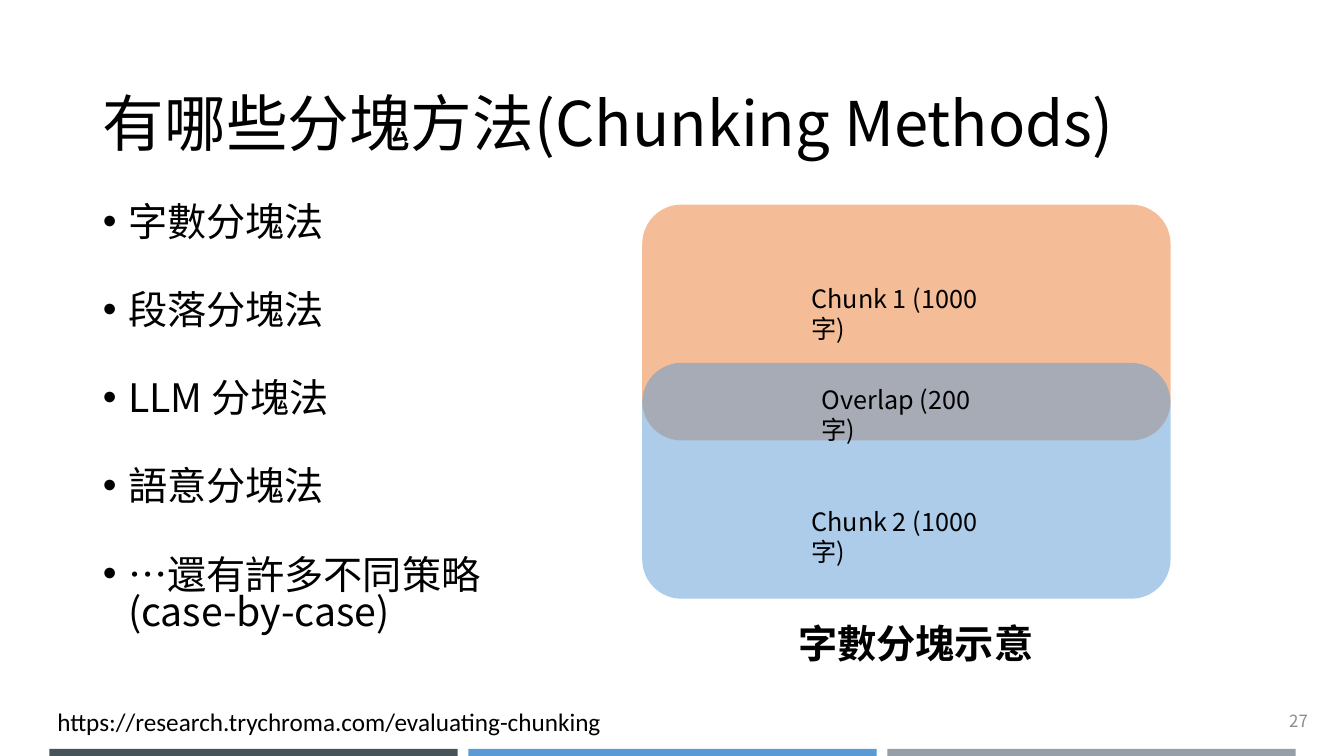
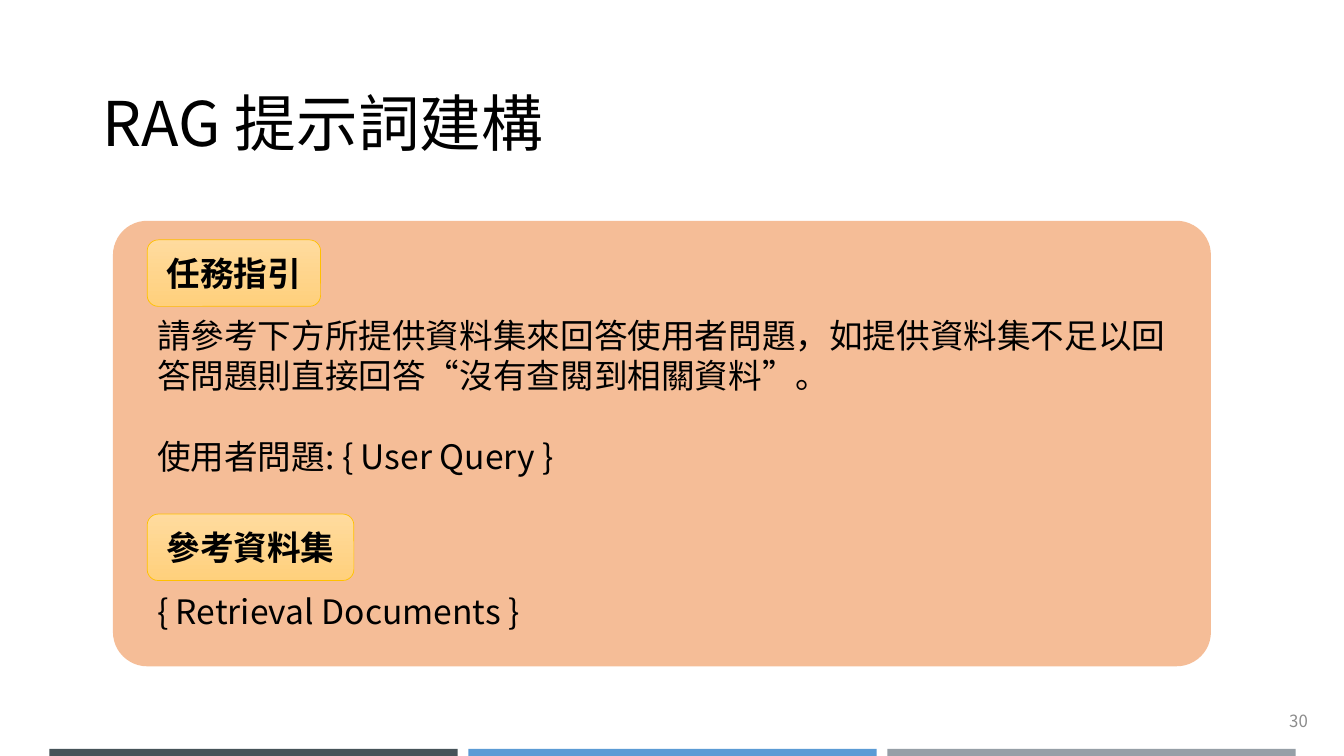
"""Build two slides about chunking methods and RAG prompt construction."""
from lxml import etree
from pptx import Presentation
from pptx import util as u
from pptx.dml.color import RGBColor
from pptx.enum import shapes, text
from pptx.oxml import ns

FONT = "Noto Sans CJK SC"
BLACK = RGBColor(0x00, 0x00, 0x00)
GRAY = RGBColor(0x8C, 0x8C, 0x8C)
SLATE = RGBColor(0x46, 0x53, 0x59)
BLUE = RGBColor(0x5B, 0x9B, 0xD5)
SILVER = RGBColor(0x96, 0x9F, 0xA7)
ORANGE = RGBColor(0xED, 0x7D, 0x31)
GOLD = RGBColor(0xFF, 0xC0, 0x00)
GOLD_TOP = RGBColor(0xFF, 0xDB, 0x9E)
GOLD_BOTTOM = RGBColor(0xFF, 0xD0, 0x7C)

TITLE_AND_CONTENT, TITLE_ONLY = 1, 5


def place(shape, left, top, width, height):
    """Move and size a shape, in inches."""
    shape.left, shape.top = u.Inches(left), u.Inches(top)
    shape.width, shape.height = u.Inches(width), u.Inches(height)


def add_run(paragraph, words, size, color=BLACK, bold=False, font=FONT):
    """Append one formatted run to a paragraph."""
    run = paragraph.add_run()
    run.text = words
    run.font.size = u.Pt(size)
    run.font.bold = bold
    run.font.color.rgb = color
    run.font.name = font
    east_asian = etree.SubElement(run._r.get_or_add_rPr(), ns.qn("a:ea"))
    east_asian.set("typeface", font)


def add_bullet(paragraph, indent=0.25):
    """Give a paragraph a round bullet and a hanging indent."""
    properties = paragraph._p.get_or_add_pPr()
    properties.set("marL", str(u.Inches(indent)))
    properties.set("indent", str(-u.Inches(indent)))
    etree.SubElement(properties, ns.qn("a:buFont")).set("typeface", "Arial")
    etree.SubElement(properties, ns.qn("a:buChar")).set("char", "•")


def add_text(slide, box, lines, size, gap=0, align=text.PP_ALIGN.LEFT,
             anchor=text.MSO_ANCHOR.TOP, **style):
    """Add a text box with one paragraph per line, separated by a gap in points."""
    frame = slide.shapes.add_textbox(*map(u.Inches, box)).text_frame
    frame.word_wrap = True
    frame.vertical_anchor = anchor
    for index, words in enumerate(lines):
        paragraph = frame.add_paragraph() if index else frame.paragraphs[0]
        paragraph.alignment = align
        if index:
            paragraph.space_before = u.Pt(gap)
        add_run(paragraph, words, size, **style)


def add_plain_shape(slide, kind, box):
    """Add a preset shape without line or shadow."""
    shape = slide.shapes.add_shape(kind, *map(u.Inches, box))
    shape.shadow.inherit = False
    shape.line.fill.background()
    return shape


def add_panel(slide, box, color, corner=0.1667):
    """Add a half-transparent rounded panel."""
    panel = add_plain_shape(slide, shapes.MSO_SHAPE.ROUNDED_RECTANGLE, box)
    panel.adjustments[0] = corner
    panel.fill.solid()
    panel.fill.fore_color.rgb = color
    color_element = panel.element.spPr.find(".//" + ns.qn("a:srgbClr"))
    etree.SubElement(color_element, ns.qn("a:alpha")).set("val", "50000")


def add_tag(slide, box, words):
    """Add a golden rounded heading tag."""
    tag = add_plain_shape(slide, shapes.MSO_SHAPE.ROUNDED_RECTANGLE, box)
    tag.fill.gradient()
    tag.fill.gradient_angle = 270
    for stop, color in zip(tag.fill.gradient_stops, (GOLD_TOP, GOLD_BOTTOM)):
        stop.color.rgb = color
    tag.line.color.rgb = GOLD
    tag.line.width = u.Pt(0.5)
    frame = tag.text_frame
    frame.vertical_anchor = text.MSO_ANCHOR.MIDDLE
    frame.paragraphs[0].alignment = text.PP_ALIGN.CENTER
    add_run(frame.paragraphs[0], words, 24, bold=True)


def add_master_bands(presentation, slide):
    """Draw the three bottom bands and move them to the slide master."""
    master_tree = presentation.slide_master.shapes.element
    for index, color in enumerate((SLATE, BLUE, SILVER)):
        box = (0.49 + index * 4.155, 7.43, 4.05, 0.1)
        band = add_plain_shape(slide, shapes.MSO_SHAPE.RECTANGLE, box)
        band.fill.solid()
        band.fill.fore_color.rgb = color
        band.element.nvSpPr.cNvPr.set("id", str(101 + index))
        master_tree.insert(2 + index, band.element)


def add_slide(presentation, layout, title, number):
    """Add a slide with its title and page number."""
    slide = presentation.slides.add_slide(presentation.slide_layouts[layout])
    place(slide.shapes.title, 0.92, 0.67, 11.5, 1.18)
    frame = slide.shapes.title.text_frame
    frame.auto_size = text.MSO_AUTO_SIZE.NONE
    frame.vertical_anchor = text.MSO_ANCHOR.MIDDLE
    paragraph = frame.paragraphs[0]
    paragraph.alignment = text.PP_ALIGN.LEFT
    paragraph.line_spacing = 0.9
    add_run(paragraph, title, 44)
    add_text(slide, (10.07, 6.95, 3, 0.4), [number], 12, color=GRAY,
             align=text.PP_ALIGN.RIGHT, anchor=text.MSO_ANCHOR.MIDDLE)
    return slide


def fill_body(slide, items):
    """Fill the body placeholder with a bulleted list."""
    body = slide.placeholders[1]
    place(body, 0.92, 2, 4.71, 4.76)
    frame = body.text_frame
    frame.auto_size = text.MSO_AUTO_SIZE.NONE
    for index, words in enumerate(items):
        paragraph = frame.add_paragraph() if index else frame.paragraphs[0]
        add_bullet(paragraph)
        paragraph.line_spacing = 0.8
        paragraph.space_before = u.Pt(36 if index else 0)
        add_run(paragraph, words, 28)


def build_chunking_slide(presentation):
    """Build the slide on chunking methods."""
    slide = add_slide(presentation, TITLE_AND_CONTENT,
                      "有哪些分塊方法(Chunking Methods)", "27")
    add_master_bands(presentation, slide)
    fill_body(slide, ("字數分塊法", "段落分塊法", "LLM 分塊法", "語意分塊法",
                      "…還有許多不同策略(case-by-case)"))
    for top, color in ((2.03, ORANGE), (3.6, BLUE)):
        add_panel(slide, (6.37, top, 5.24, 2.34), color)
    for left, top, width, words in ((7.95, 2.76, 2.1, "Chunk 1 (1000 字)"),
                                    (7.95, 4.97, 2.1, "Chunk 2 (1000 字)"),
                                    (8.05, 3.76, 1.95, "Overlap (200 字)")):
        add_text(slide, (left, top, width, 0.4), [words], 18)
    add_text(slide, (7.82, 6.09, 2.6, 0.57), ["字數分塊示意"], 28, bold=True)
    add_text(slide, (0.47, 6.96, 5.66, 0.4),
             ["https://research.trychroma.com/evaluating-chunking"], 18, font="Calibri")


def build_prompt_slide(presentation):
    """Build the slide on prompt construction."""
    slide = add_slide(presentation, TITLE_ONLY, "RAG 提示詞建構", "30")
    add_panel(slide, (1.12, 2.19, 10.89, 4.42), ORANGE, corner=0.077)
    add_text(slide, (1.46, 3.07, 10.42, 1.72),
             ["請參考下方所提供資料集來回答使用者問題，如提供資料集不足以回答問題則直接回答“沒有查閱到相關資料”。",
              "使用者問題: { User Query }"], 24, gap=29)
    add_tag(slide, (1.46, 2.38, 1.72, 0.66), "任務指引")
    add_tag(slide, (1.46, 5.1, 2.05, 0.66), "參考資料集")
    add_text(slide, (1.46, 5.81, 3.85, 0.5), ["{ Retrieval Documents }"], 24)


def main():
    """Create and save the presentation."""
    presentation = Presentation()
    presentation.slide_width = u.Inches(13.33)
    presentation.slide_height = u.Inches(7.5)
    build_chunking_slide(presentation)
    build_prompt_slide(presentation)
    presentation.save("out.pptx")


if __name__ == "__main__":
    main()
